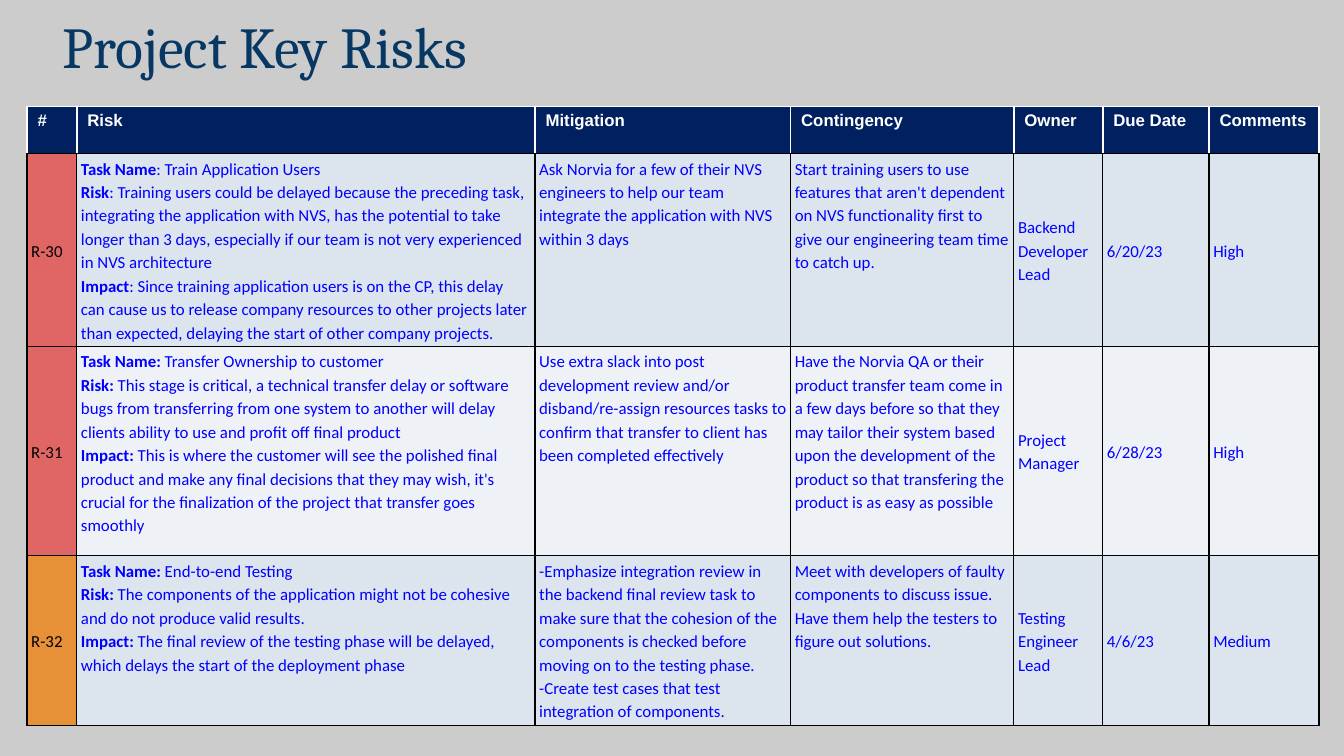
from lxml import etree
from pptx import Presentation
from pptx import util as u
from pptx.dml.color import RGBColor
from pptx.enum import text
from pptx.oxml import ns

COLORS = {
    "page": "CCCCCC", "title": "073763", "header": "002060", "white": "FFFFFF",
    "black": "000000", "blue": "0000FF", "odd": "DCE5EE", "even": "EEF2F7",
    "High": "E06666", "Medium": "E69138",
}
COLUMN_WIDTHS = [0.94, 8.66, 4.83, 4.22, 1.68, 2.01, 2.08]
ROW_HEIGHTS = [0.89, 3.1, 3.96, 3.18]
HEADINGS = ["#", "Risk", "Mitigation", "Contingency", "Owner", "Due Date", "Comments"]
TOP_COLUMNS = (1, 2, 3)

RISKS = [
    [
        "R-30",
        [("Task Name", ": Train Application Users"),
         ("Risk", ": Training users could be delayed because the preceding task, integrating "
          "the application with NVS, has the potential to take longer than 3 days, especially "
          "if our team is not very experienced in NVS architecture"),
         ("Impact", ": Since training application users is on the CP, this delay can cause us "
          "to release company resources to other projects later than expected, delaying the "
          "start of other company projects.")],
        "Ask Norvia for a few of their NVS engineers to help our team integrate the "
        "application with NVS within 3 days",
        "Start training users to use features that aren't dependent on NVS functionality "
        "first to give our engineering team time to catch up.",
        "Backend Developer Lead", "6/20/23", "High",
    ],
    [
        "R-31",
        [("Task Name:", " Transfer Ownership to customer"),
         ("Risk:", " This stage is critical, a technical transfer delay or software bugs from "
          "transferring from one system to another will delay clients ability to use and "
          "profit off final product"),
         ("Impact:", " This is where the customer will see the polished final product and make "
          "any final decisions that they may wish, it's crucial for the finalization of the "
          "project that transfer goes smoothly")],
        "Use extra slack into post development review and/or disband/re-assign resources "
        "tasks to confirm that transfer to client has been completed effectively",
        "Have the Norvia QA or their product transfer team come in a few days before so that "
        "they may tailor their system based upon the development of the product so that "
        "transfering the product is as easy as possible",
        "Project Manager", "6/28/23", "High",
    ],
    [
        "R-32",
        [("Task Name:", " End-to-end Testing"),
         ("Risk:", " The components of the application might not be cohesive and do not "
          "produce valid results."),
         ("Impact:", " The final review of the testing phase will be delayed, which delays "
          "the start of the deployment phase")],
        [("", "-Emphasize integration review in the backend final review task to make sure "
          "that the cohesion of the components is checked before moving on to the testing "
          "phase."),
         ("", "-Create test cases that test integration of components.")],
        "Meet with developers of faulty components to discuss issue. Have them help the "
        "testers to figure out solutions.",
        "Testing Engineer Lead", "4/6/23", "Medium",
    ],
]


class RiskSlide:
    """Holds the style and the current slide, and draws each kind of element."""

    def __init__(self, deck):
        self.slide = deck.slides.add_slide(deck.slide_layouts[5])
        fill = self.slide.background.fill
        fill.solid()
        fill.fore_color.rgb = self.color("page")

    def color(self, key):
        return RGBColor.from_string(COLORS[key])

    def run(self, paragraph, words, face, size, color, bold=False):
        run = paragraph.add_run()
        run.text = words
        run.font.name, run.font.size, run.font.bold = face, u.Pt(size), bold
        run.font.color.rgb = self.color(color)

    def title(self, words, left, top, width, height):
        heading = self.slide.shapes.title
        heading.left, heading.top = u.Cm(left), u.Cm(top)
        heading.width, heading.height = u.Cm(width), u.Cm(height)
        frame = heading.text_frame
        frame.margin_left = frame.margin_right = u.Cm(0.15)
        frame.margin_top = frame.margin_bottom = 0
        frame.vertical_anchor = text.MSO_ANCHOR.MIDDLE
        frame.auto_size = text.MSO_AUTO_SIZE.NONE
        frame.paragraphs[0].alignment = text.PP_ALIGN.LEFT
        self.run(frame.paragraphs[0], words, "Cambria", 31, "title")

    def table(self, left, top, widths, heights):
        grid = self.slide.shapes.add_table(
            len(heights), len(widths), u.Cm(left), u.Cm(top),
            u.Cm(sum(widths)), u.Cm(sum(heights))).table
        grid.first_row = grid.horz_banding = False
        for column, width in zip(grid.columns, widths):
            column.width = u.Cm(width)
        for row, height in zip(grid.rows, heights):
            row.height = u.Cm(height)
        return grid

    def borders(self, cell, edges):
        properties = cell._tc.get_or_add_tcPr()
        for place, (side, (color, width)) in enumerate(zip("LRTB", edges)):
            line = etree.Element(ns.qn(f"a:ln{side}"), w=str(u.Pt(width)))
            paint = etree.SubElement(line, ns.qn("a:solidFill"))
            etree.SubElement(paint, ns.qn("a:srgbClr"), val=COLORS[color])
            properties.insert(place, line)

    def cell(self, cell, fill, margins, edges, middle=False):
        cell.fill.solid()
        cell.fill.fore_color.rgb = self.color(fill)
        cell.margin_left = cell.margin_right = u.Cm(margins[0])
        cell.margin_top = cell.margin_bottom = u.Cm(margins[1])
        cell.vertical_anchor = text.MSO_ANCHOR.MIDDLE if middle else text.MSO_ANCHOR.TOP
        self.borders(cell, edges)

    def header_cell(self, cell, words):
        self.cell(cell, "header", (0.2, 0.1), [("white", 1)] * 3 + [("black", 0.75)])
        self.run(cell.text_frame.paragraphs[0], words, "Arial", 9, "white", True)

    def body_cell(self, cell, content, fill, color, middle):
        self.cell(cell, fill, (0.08, 0.05), [("black", 0.75)] * 4, middle)
        entries = [("", content)] if isinstance(content, str) else content
        frame = cell.text_frame
        for number, (label, words) in enumerate(entries):
            paragraph = frame.add_paragraph() if number else frame.paragraphs[0]
            paragraph.line_spacing = 1.15
            if label:
                self.run(paragraph, label, "Calibri", 9, color, True)
            self.run(paragraph, words, "Calibri", 9, color)


def main():
    deck = Presentation()
    deck.slide_width, deck.slide_height = u.Cm(25.4), u.Cm(14.29)
    page = RiskSlide(deck)
    page.title("Project Key Risks", 1.04, 0, 15.34, 1.7)
    register = page.table(0.51, 2.01, COLUMN_WIDTHS, ROW_HEIGHTS)
    for column, heading in enumerate(HEADINGS):
        page.header_cell(register.cell(0, column), heading)
    for row, risk in enumerate(RISKS, 1):
        band = "odd" if row % 2 else "even"
        for column, content in enumerate(risk):
            fill, color = (band, "blue") if column else (risk[-1], "black")
            page.body_cell(register.cell(row, column), content, fill, color,
                           column not in TOP_COLUMNS)
    deck.save("out.pptx")


if __name__ == "__main__":
    main()
